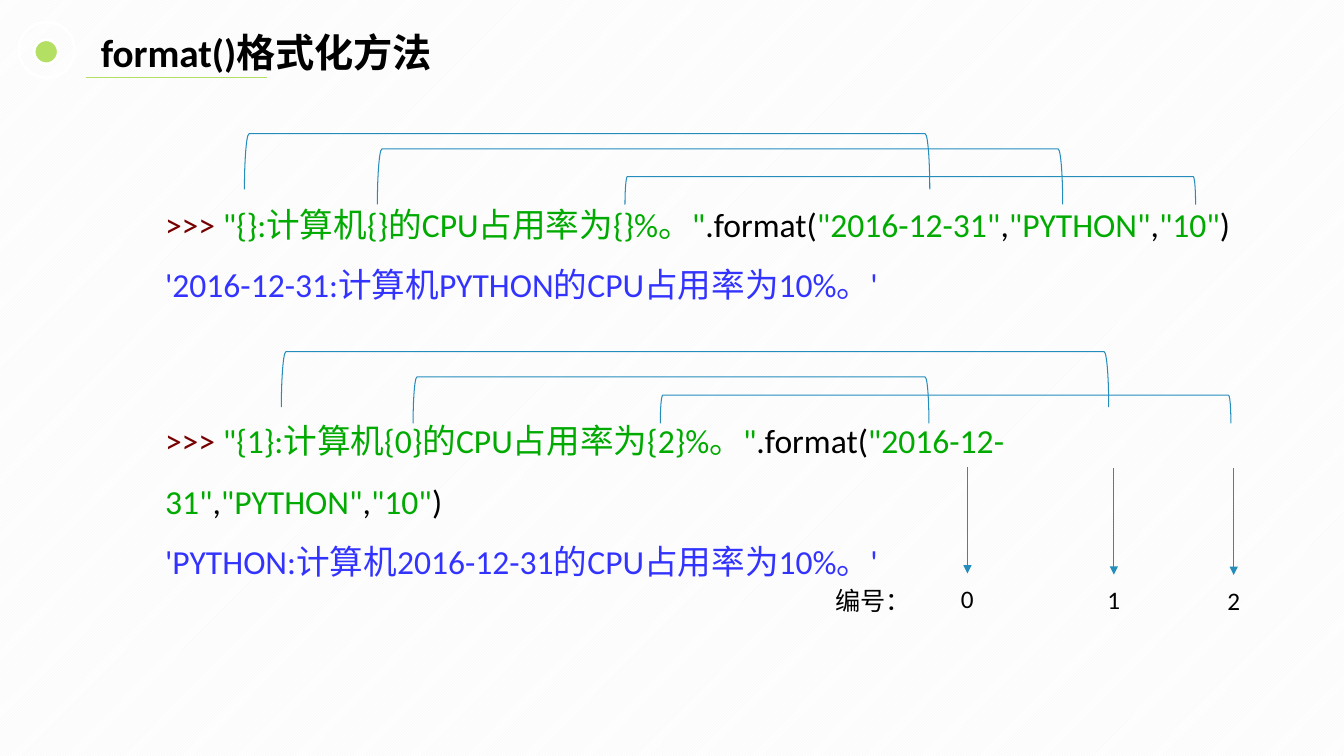
import pptx
import pptx.util
import pptx.dml.color
import pptx.enum.dml
import pptx.enum.shapes
import pptx.enum.text
import pptx.oxml
import pptx.oxml.ns
from pptx.util import Cm

COLOURS = {
    "prompt": "770000", "string": "00AA00", "output": "3333FF", "code": "000000",
    "bracket": "258DBC", "accent": "B3DF63", "white": "FFFFFF", "stripe": "F2F2F2",
}
FONT = "Calibri"
TITLE = "format()格式化方法"
ARGUMENTS = ['"2016-12-31"', '"PYTHON"', '"10"']
EXAMPLES = [
    (4.5, 29.59, '"{}:计算机{}的CPU占用率为{}%。"', "'2016-12-31:计算机PYTHON的CPU占用率为10%。'"),
    (9.96, 28.5, '"{1}:计算机{0}的CPU占用率为{2}%。"', "'PYTHON:计算机2016-12-31的CPU占用率为10%。'"),
]
BRACKETS = [
    (6.16, 3.37, 17.27, 1.4), (9.51, 3.75, 17.27, 1.4), (15.75, 4.45, 14.38, 0.71),
    (7.09, 8.86, 20.85, 1.4), (10.41, 9.5, 13, 1.17), (16.64, 9.96, 14.38, 0.71),
]
INDEX_CAPTION = "编号："
INDEX_ARROWS = [("0", 24.38, 11.76), ("1", 28.07, 11.79), ("2", 31.09, 11.8)]
ARROW_LENGTH = 2.69
LABEL_GAP = 0.13
LABEL_WIDTH = 1.32
LABEL_HEIGHT = 1.02

SHAPE = pptx.enum.shapes.MSO_SHAPE
ALIGN = pptx.enum.text.PP_ALIGN


def colour(name):
    return pptx.dml.color.RGBColor.from_string(COLOURS[name])


def add_text(page, left, top, width, height, lines, size, spacing=1.0, bold=False, align=ALIGN.LEFT):
    box = page.shapes.add_textbox(Cm(left), Cm(top), Cm(width), Cm(height))
    frame = box.text_frame
    frame.word_wrap = True
    for number, line in enumerate(lines):
        para = frame.paragraphs[0] if number == 0 else frame.add_paragraph()
        para.line_spacing = spacing
        para.alignment = align
        for words, tone in line:
            span = para.add_run()
            span.text = words
            span.font.name = FONT
            span.font.size = pptx.util.Pt(size)
            span.font.bold = bold
            span.font.color.rgb = colour(tone)


def add_outline(page, kind, left, top, width, height, line, weight, fill=None):
    shape = page.shapes.add_shape(kind, Cm(left), Cm(top), Cm(width), Cm(height))
    shape.shadow.inherit = False
    if fill:
        shape.fill.solid()
        shape.fill.fore_color.rgb = colour(fill)
    else:
        shape.fill.background()
    shape.line.color.rgb = colour(line)
    shape.line.width = pptx.util.Pt(weight)
    return shape


def add_bracket(page, left, top, width, height):
    turned_left = left + (width - height) / 2
    turned_top = top + (height - width) / 2
    bracket = add_outline(page, SHAPE.LEFT_BRACKET, turned_left, turned_top, height, width, "bracket", 0.75)
    bracket.rotation = 90


def add_line(page, start, end, tone, arrow=False):
    line = page.shapes.add_connector(
        pptx.enum.shapes.MSO_CONNECTOR.STRAIGHT, *(Cm(value) for value in start + end))
    line.line.color.rgb = colour(tone)
    line.line.width = pptx.util.Pt(0.75)
    if arrow:
        tail = pptx.oxml.parse_xml(f'<a:tailEnd {pptx.oxml.ns.nsdecls("a")} type="triangle"/>')
        line.line._get_or_add_ln().append(tail)
    effects = pptx.oxml.parse_xml(f'<a:effectLst {pptx.oxml.ns.nsdecls("a")}/>')
    line._element.spPr.append(effects)


def format_call(template):
    spans = [(">>> ", "prompt"), (template, "string"), (".format(", "code")]
    for number, argument in enumerate(ARGUMENTS):
        if number:
            spans.append((",", "code"))
        spans.append((argument, "string"))
    return spans + [(")", "code")]


def main():
    deck = pptx.Presentation()
    deck.slide_width, deck.slide_height = Cm(33.87), Cm(19.05)
    page = deck.slides.add_slide(deck.slide_layouts[6])
    backdrop = page.background.fill
    backdrop.patterned()
    backdrop.pattern = pptx.enum.dml.MSO_PATTERN.LIGHT_UPWARD_DIAGONAL
    backdrop.fore_color.rgb = colour("stripe")
    backdrop.back_color.rgb = colour("white")

    for top, width, template, result in EXAMPLES:
        add_text(page, 3.91, top, width, 3.33, [format_call(template), [(result, "output")]], 24, 1.5)
    for bracket in BRACKETS:
        add_bracket(page, *bracket)

    for label, centre, top in INDEX_ARROWS:
        bottom = top + ARROW_LENGTH
        add_line(page, (centre, top), (centre, bottom), "bracket", arrow=True)
        add_text(page, centre - LABEL_WIDTH / 2, bottom + LABEL_GAP, LABEL_WIDTH, LABEL_HEIGHT,
                 [[(label, "code")]], 18, align=ALIGN.CENTER)
    add_text(page, 20.8, 14.63, 2.92, LABEL_HEIGHT, [[(INDEX_CAPTION, "code")]], 18)

    add_outline(page, SHAPE.OVAL, 0.86, 1.0, 0.61, 0.61, "white", 2, "accent")
    add_outline(page, SHAPE.OVAL, 0.48, 0.56, 1.4, 1.4, "white", 2)
    add_line(page, (2.16, 1.96), (6.73, 1.96), "accent")
    add_text(page, 2.29, 0, 32.64, 1.85, [[(TITLE, "code")]], 28, 1.5, bold=True)

    deck.save("out.pptx")


if __name__ == "__main__":
    main()
